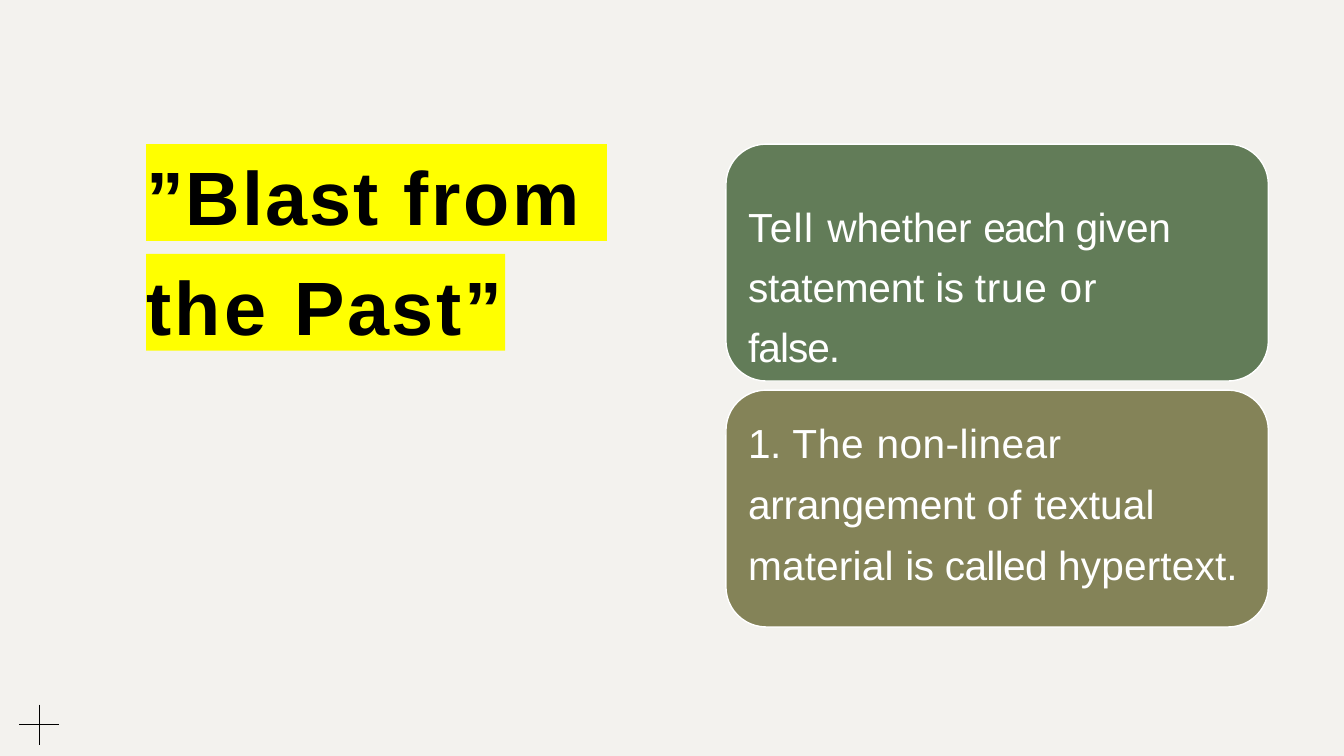
from dataclasses import dataclass

from lxml import etree
from pptx import Presentation
from pptx.dml.color import RGBColor
from pptx.enum.shapes import MSO_CONNECTOR, MSO_SHAPE
from pptx.enum.text import MSO_ANCHOR, MSO_AUTO_SIZE, PP_ALIGN
from pptx.oxml.ns import qn
from pptx.util import Inches, Pt

ROUNDED = MSO_SHAPE.ROUNDED_RECTANGLE
STRAIGHT = MSO_CONNECTOR.STRAIGHT
TOP, BOTTOM = MSO_ANCHOR.TOP, MSO_ANCHOR.BOTTOM
LEFT = PP_ALIGN.LEFT
NO_FIT = MSO_AUTO_SIZE.NONE


@dataclass(frozen=True)
class Theme:
    font: str = "Arial"
    paper: str = "F3F2EE"
    ink: str = "000000"
    highlight: str = "FFFF00"
    light: str = "FFFFFF"
    heading_size: float = 54
    body_size: float = 29


THEME = Theme()

HEADINGS = [
    (4.57, [("”Blast ", 1.4), ("from", 1.9)]),
    (3.56, [("the ", 2.5), ("Past”", 1.8)]),
]
CARDS = [
    {
        "fill": "627C58",
        "text_drop": 0.46,
        "text_size": (4.47, 1.83),
        "line_spacing": 1.23,
        "runs": [
            ("Tell ", 1), ("whether ", 0), ("each ", -1.3), ("given ", -0.3),
            ("statement ", -0.2), ("is ", -0.4), ("true or ", 0.5),
            ("false.", -0.7),
        ],
    },
    {
        "fill": "848358",
        "text_drop": 0.16,
        "text_size": (4.97, 1.83),
        "line_spacing": 1.25,
        "runs": [
            ("1. ", -0.3), ("The ", 0.5), ("non-linear ", 0.3),
            ("arrangement ", -0.2), ("of ", 0.5), ("textual material ", 0.1),
            ("is ", -0.4), ("called ", -0.5), ("hypertext.", 0.1),
        ],
    },
]

SLIDE_SIZE = (13.33, 7.5)
CONTENT_TOP = 1.43
HEADING_LEFT, HEADING_HEIGHT, HEADING_PITCH = 1.45, 0.96, 1.09
CARD_LEFT, CARD_WIDTH, CARD_HEIGHT, CARD_PITCH = 7.2, 5.38, 2.35, 2.44
CARD_INDENT = 0.22
CORNER_SHARE = 0.17
CROSS_CENTER, CROSS_ARM = (0.39, 7.19), 0.2


def color(code):
    return RGBColor.from_string(code)


def place(shape, left, top, width, height):
    shape.left, shape.top = Inches(left), Inches(top)
    shape.width, shape.height = Inches(width), Inches(height)


def write(shape, runs, size, ink, anchor, bold=False, line_spacing=1):
    frame = shape.text_frame
    frame.word_wrap = True
    frame.auto_size = NO_FIT
    frame.vertical_anchor = anchor
    frame.margin_left = frame.margin_right = 0
    frame.margin_top = frame.margin_bottom = 0
    paragraph = frame.paragraphs[0]
    paragraph.alignment = LEFT
    paragraph.line_spacing = line_spacing
    paragraph.space_before = Pt(0)
    for words, tracking in runs:
        run = paragraph.add_run()
        run.text = words
        run.font.name = THEME.font
        run.font.size = Pt(size)
        run.font.bold = bold
        run.font.color.rgb = color(ink)
        run.font._element.set("spc", str(round(tracking * 100)))


def add_headings(slide):
    for row, (width, runs) in enumerate(HEADINGS):
        heading = slide.shapes.title if row == 0 else slide.shapes.add_textbox(0, 0, 0, 0)
        place(heading, HEADING_LEFT, CONTENT_TOP + row * HEADING_PITCH, width, HEADING_HEIGHT)
        heading.fill.solid()
        heading.fill.fore_color.rgb = color(THEME.highlight)
        write(heading, runs, THEME.heading_size, THEME.ink, BOTTOM, bold=True)


def add_cross(slide):
    x, y = CROSS_CENTER
    for dx, dy in ((CROSS_ARM, 0), (0, CROSS_ARM)):
        ends = [Inches(v) for v in (x - dx, y - dy, x + dx, y + dy)]
        stroke = slide.shapes.add_connector(STRAIGHT, *ends)
        stroke.line.color.rgb = color(THEME.ink)
        stroke.line.width = Pt(0.75)
        etree.SubElement(stroke._element.spPr, qn("a:effectLst"))


def add_cards(slide):
    for row, content in enumerate(CARDS):
        top = CONTENT_TOP + row * CARD_PITCH
        card = slide.shapes.add_shape(ROUNDED, 0, 0, 0, 0)
        place(card, CARD_LEFT, top, CARD_WIDTH, CARD_HEIGHT)
        card.adjustments[0] = CORNER_SHARE
        card.shadow.inherit = False
        card.fill.solid()
        card.fill.fore_color.rgb = color(content["fill"])
        card.line.color.rgb = color(THEME.light)
        card.line.width = Pt(1)
        statement = slide.shapes.add_textbox(0, 0, 0, 0)
        place(statement, CARD_LEFT + CARD_INDENT, top + content["text_drop"], *content["text_size"])
        write(statement, content["runs"], THEME.body_size, THEME.light, TOP,
              line_spacing=content["line_spacing"])


def main():
    deck = Presentation()
    deck.slide_width, deck.slide_height = (Inches(side) for side in SLIDE_SIZE)
    slide = deck.slides.add_slide(deck.slide_layouts[5])
    slide.background.fill.solid()
    slide.background.fill.fore_color.rgb = color(THEME.paper)
    add_headings(slide)
    add_cross(slide)
    add_cards(slide)
    deck.save("out.pptx")


if __name__ == "__main__":
    main()
